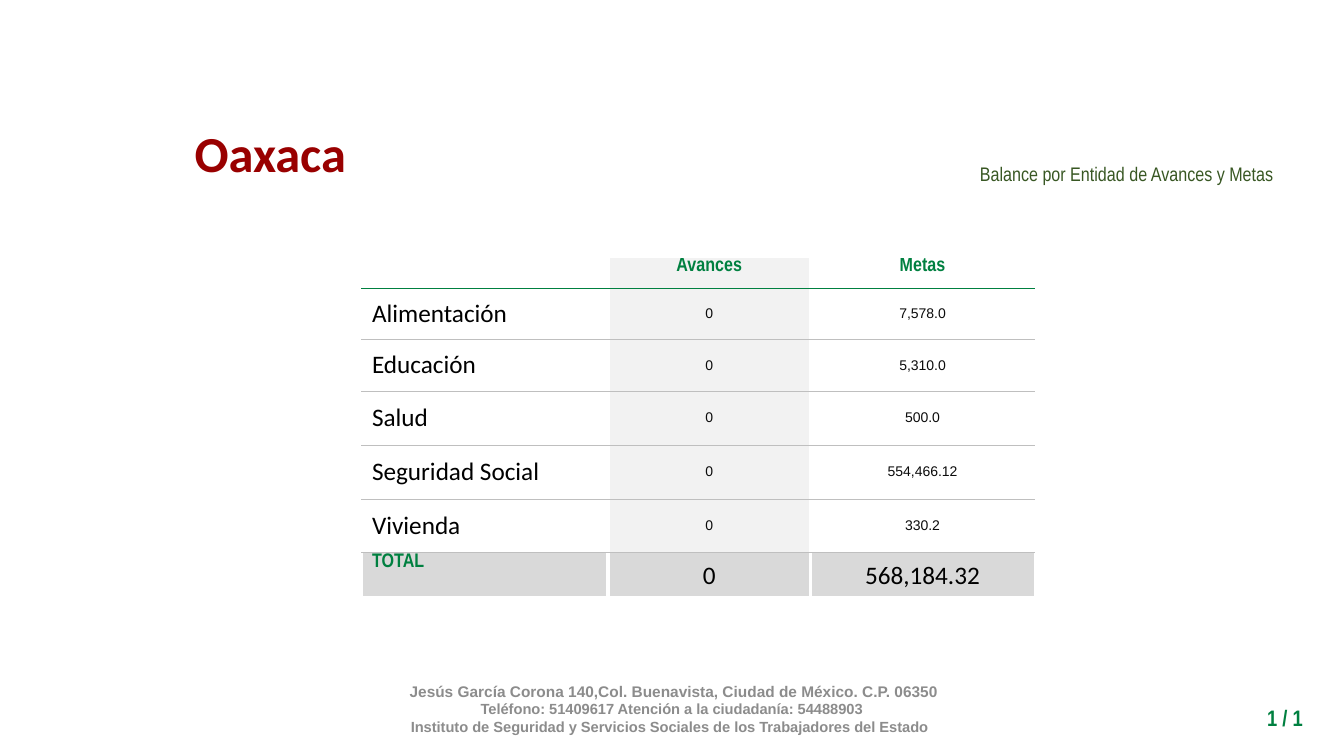
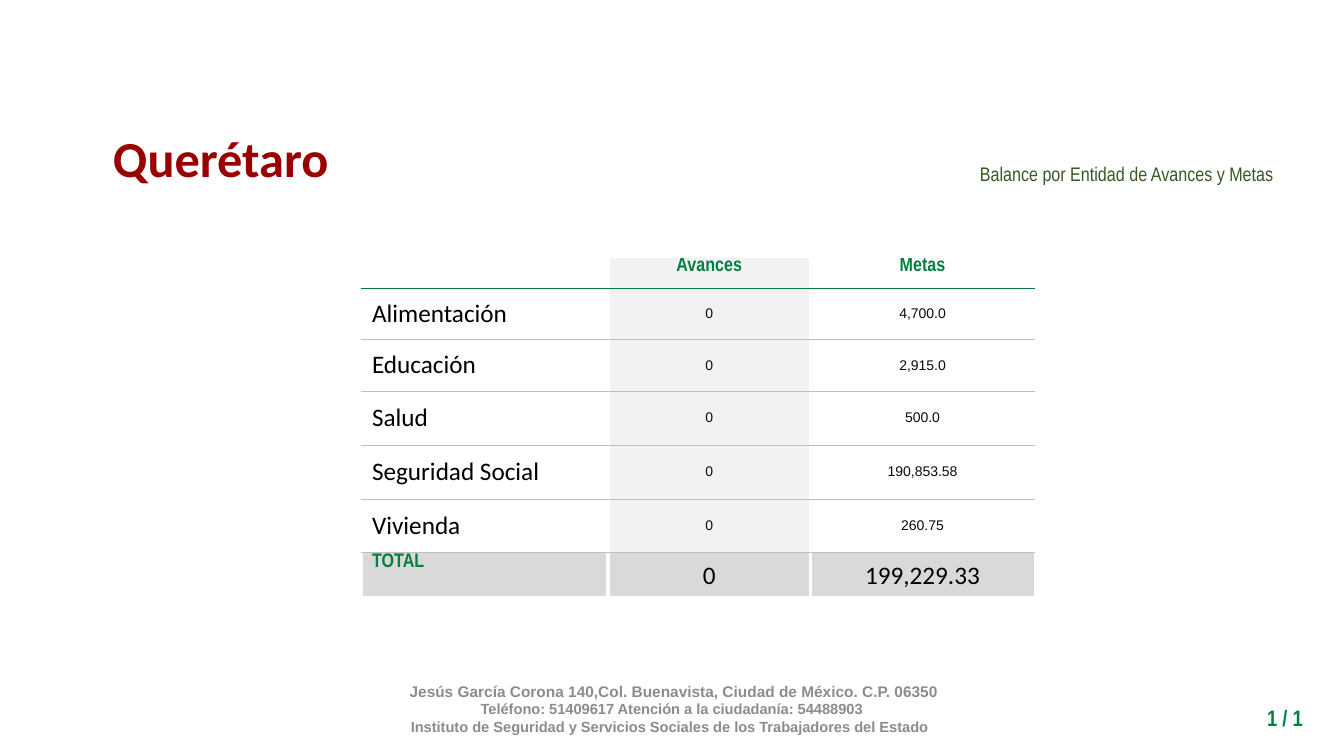
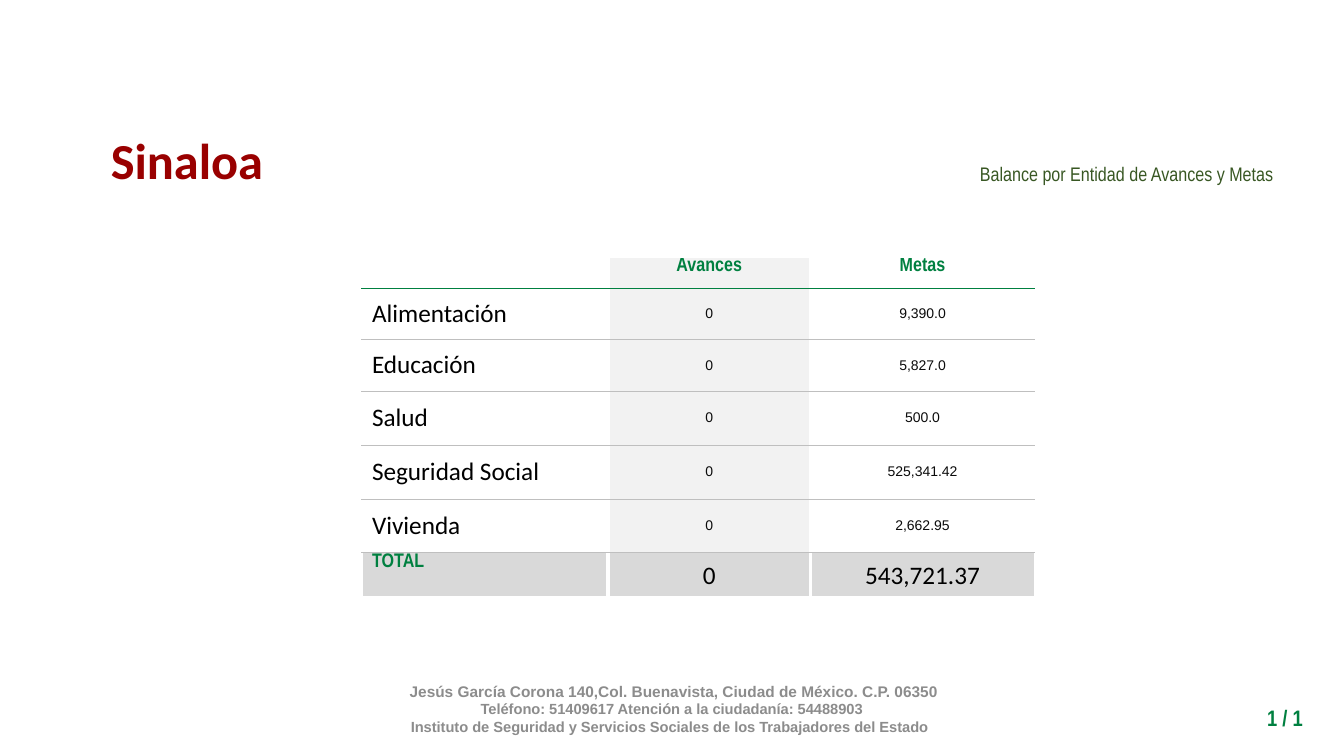
"""Builds the state balance slides: progress and goals per programme."""
import pptx
import pptx.dml.color
import pptx.enum.text
import pptx.oxml
import pptx.oxml.ns
import pptx.util
from lxml import etree

Inches = pptx.util.Inches
Pt = pptx.util.Pt
RGBColor = pptx.dml.color.RGBColor
ALIGN = pptx.enum.text.PP_ALIGN
ANCHOR = pptx.enum.text.MSO_ANCHOR
AUTO = pptx.enum.text.MSO_AUTO_SIZE
qn = pptx.oxml.ns.qn

WHITE = RGBColor(0xFF, 0xFF, 0xFF)
BLACK = RGBColor(0x00, 0x00, 0x00)
INK = RGBColor(0x0B, 0x0B, 0x0B)
GREEN = RGBColor(0x00, 0x80, 0x40)
DARK_GREEN = RGBColor(0x38, 0x57, 0x23)
RED = RGBColor(0x99, 0x00, 0x00)
GREY = RGBColor(0x8C, 0x8C, 0x8C)
RULE = RGBColor(0xBF, 0xBF, 0xBF)
COLUMN_FILL = RGBColor(0xF2, 0xF2, 0xF2)
TOTAL_FILL = RGBColor(0xD9, 0xD9, 0xD9)

HEADING = (14, "Arial Narrow", GREEN, True)
LABEL = (18, "Calibri", BLACK, False)
FIGURE = (10, "Arial", INK, False)

FOOTER = [
    (" Jesús García Corona 140,Col. Buenavista, Ciudad de México. C.P. 06350", 11),
    ("Teléfono: 51409617 Atención a la ciudadanía: 54488903", 10.5),
    ("Instituto de Seguridad y Servicios Sociales de los Trabajadores del Estado ", 10.5),
]
PROGRAMMES = ["Alimentación", "Educación", "Salud", "Seguridad Social", "Vivienda"]
STATES = [
    ("Oaxaca", (1.82, 1.16, 1.72, 0.71),
     ["7,578.0", "5,310.0", "500.0", "554,466.12", "330.2"], "568,184.32"),
    ("Querétaro", (1.01, 1.21, 2.36, 0.71),
     ["4,700.0", "2,915.0", "500.0", "190,853.58", "260.75"], "199,229.33"),
    ("Sinaloa", (0.99, 1.23, 1.73, 0.71),
     ["9,390.0", "5,827.0", "500.0", "525,341.42", "2,662.95"], "543,721.37"),
]
COLUMNS = [2.44, 2.01, 2.22]
ROWS = [0.31, 0.51, 0.51, 0.535, 0.535, 0.535, 0.45]
LAST = len(ROWS) - 1


def write(p, text, style, align):
    """Add one styled run to a paragraph."""
    size, face, color, bold = style
    p.alignment = align
    r = p.add_run()
    r.text = text
    r.font.size = Pt(size)
    r.font.name = face
    r.font.bold = bold
    r.font.color.rgb = color
    return r


def add_line(parent, position, tag, color, width):
    """Insert a solid line element among the properties of a cell or run."""
    ln = etree.Element(qn(tag), w=str(Pt(width)))
    fill = etree.SubElement(ln, qn("a:solidFill"))
    etree.SubElement(fill, qn("a:srgbClr"), val=str(color))
    parent.insert(position, ln)


prs = pptx.Presentation()
prs.slide_width = Inches(13.33)
prs.slide_height = Inches(7.5)
blank = prs.slide_layouts[6]
slides = [prs.slides.add_slide(blank) for state in STATES]

footer = slides[0].shapes.add_textbox(Inches(2.88), Inches(6.83), Inches(7.57), Inches(0.4))
tf = footer.text_frame
tf.word_wrap = True
tf.vertical_anchor = ANCHOR.MIDDLE
for i, (text, size) in enumerate(FOOTER):
    p = tf.add_paragraph() if i else tf.paragraphs[0]
    write(p, text, (size, "Arial", GREY, True), ALIGN.CENTER)
blank.shapes.element.append(footer.element)

for s, (state, title_box, goals, total) in zip(slides, STATES):
    rows = [["", "Avances", "Metas"]]
    rows += [[name, "0", goal] for name, goal in zip(PROGRAMMES, goals)]
    rows += [["TOTAL", "0", total]]

    table = s.shapes.add_table(len(ROWS), len(COLUMNS), Inches(3.59), Inches(2.55),
                               Inches(sum(COLUMNS)), Inches(sum(ROWS))).table
    table.first_row = False
    table.horz_banding = False
    for column, width in zip(table.columns, COLUMNS):
        column.width = Inches(width)
    for row, height in zip(table.rows, ROWS):
        row.height = Inches(height)

    for i, values in enumerate(rows):
        for j, text in enumerate(values):
            cell = table.cell(i, j)
            cell.margin_top = cell.margin_bottom = 0
            heading = i == 0 or (i == LAST and j == 0)
            cell.vertical_anchor = ANCHOR.TOP if heading else ANCHOR.MIDDLE
            if heading:
                style = HEADING
            elif i == LAST or j == 0:
                style = LABEL
            else:
                style = FIGURE
            p = cell.text_frame.paragraphs[0]
            if text:
                write(p, text, style, ALIGN.CENTER if j else ALIGN.LEFT)
            else:
                p.font.size = Pt(14)

            if i == LAST:
                cell.fill.solid()
                cell.fill.fore_color.rgb = TOTAL_FILL
            elif j == 1:
                cell.fill.solid()
                cell.fill.fore_color.rgb = COLUMN_FILL
            else:
                cell.fill.background()

            borders = []
            if j > 0:
                borders.append(("a:lnL", WHITE, 3))
            if j < len(COLUMNS) - 1:
                borders.append(("a:lnR", WHITE, 3))
            if i > 0:
                borders.append(("a:lnT", GREEN, 0.25) if i == 1 else ("a:lnT", RULE, 0.5))
            if i == 0:
                borders.append(("a:lnB", GREEN, 0.25))
            elif i == LAST:
                borders.append(("a:lnB", WHITE, 3))
            else:
                borders.append(("a:lnB", RULE, 0.5))
            tcPr = cell._tc.get_or_add_tcPr()
            for position, (tag, color, width) in enumerate(borders):
                add_line(tcPr, position, tag, color, width)

    sp = s.shapes.add_textbox(Inches(6.69), Inches(1.23), Inches(6.04), Inches(0.95))
    tf = sp.text_frame
    tf.word_wrap = True
    tf.vertical_anchor = ANCHOR.MIDDLE
    p = tf.paragraphs[0]
    p.line_spacing = 1.15
    write(p, "Balance por Entidad de Avances y Metas",
          (14, "Arial Narrow", DARK_GREEN, False), ALIGN.RIGHT)

    sp = s.shapes.add_textbox(Inches(11.76), Inches(6.94), Inches(1.26), Inches(0.37))
    tf = sp.text_frame
    tf.word_wrap = True
    tf.auto_size = AUTO.SHAPE_TO_FIT_TEXT
    write(tf.paragraphs[0], "1 / 1", (16, "Arial Narrow", GREEN, True), ALIGN.RIGHT)

    sp = s.shapes.add_textbox(*[Inches(v) for v in title_box])
    tf = sp.text_frame
    tf.word_wrap = False
    tf.auto_size = AUTO.SHAPE_TO_FIT_TEXT
    r = write(tf.paragraphs[0], state, (36, "Calibri", RED, True), ALIGN.CENTER)
    add_line(r._r.get_or_add_rPr(), 0, "a:ln", WHITE, 0.75)

prs.save("out.pptx")
